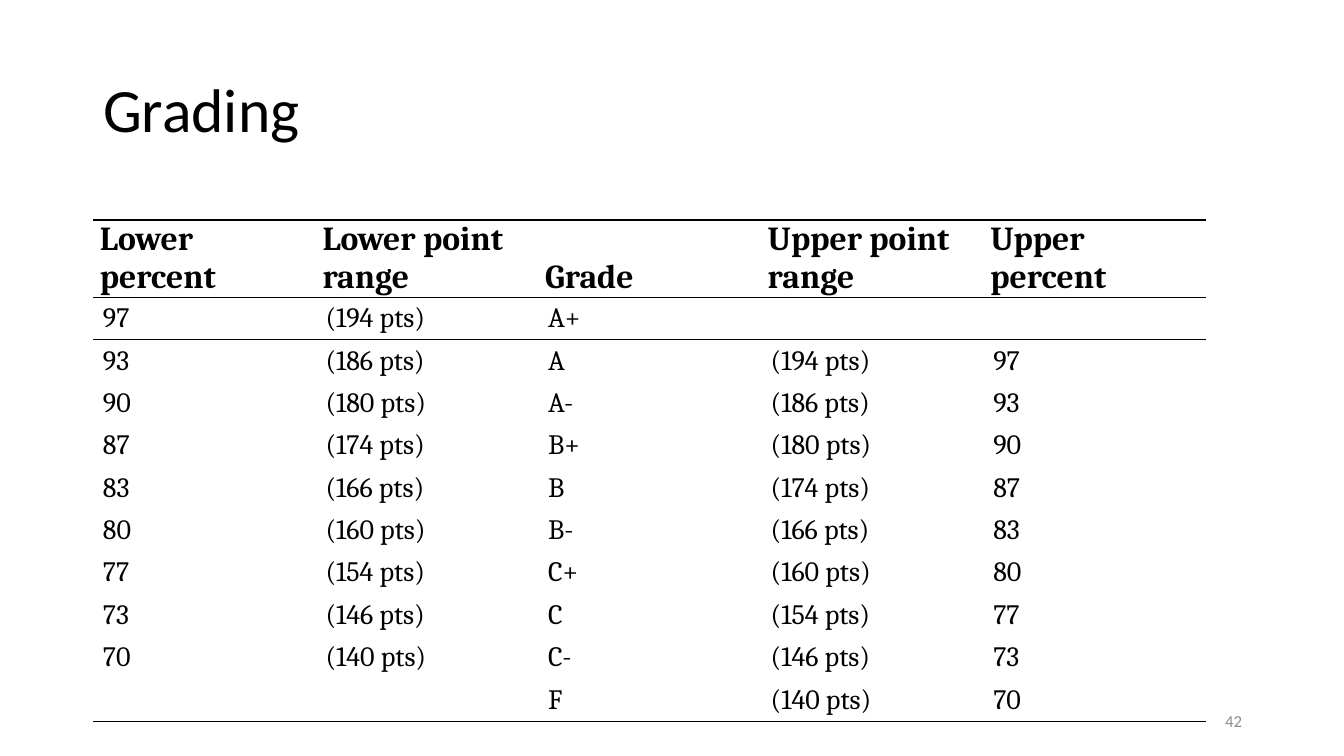
import pptx
import pptx.util
import pptx.dml.color
import pptx.enum.text
import lxml.etree
import pptx.oxml.ns

RGBColor = pptx.dml.color.RGBColor
Anchor = pptx.enum.text.MSO_ANCHOR
Align = pptx.enum.text.PP_ALIGN

BLACK = RGBColor(0x00, 0x00, 0x00)
GREY = RGBColor(0x8C, 0x8C, 0x8C)
NO_STYLE_NO_GRID = "{2D5ABB26-0587-4C30-8999-92F81FD0307C}"

HEADINGS = ["Lower percent", "Lower point range", "Grade",
            "Upper point range", "Upper percent"]
GRADES = ["A+", "A", "A-", "B+", "B", "B-", "C+", "C", "C-", "F"]
CUTOFFS = [97, 93, 90, 87, 83, 80, 77, 73, 70]
TOTAL_POINTS = 200


def px(n):
    """Turn slide pixels (100.8 to the inch) into EMU."""
    return pptx.util.Emu(round(n * 914400 / 100.8))


def bounds(cutoff):
    """Return the percent and point texts of a cutoff, blank for none."""
    if cutoff is None:
        return "", ""
    return str(cutoff), f"({cutoff * TOTAL_POINTS // 100} pts)"


def grading_rows():
    """Each grade runs from its own cutoff up to that of the grade above."""
    rows = [HEADINGS]
    for grade, low, high in zip(GRADES, CUTOFFS + [None], [None] + CUTOFFS):
        low_percent, low_points = bounds(low)
        high_percent, high_points = bounds(high)
        rows.append([low_percent, low_points, grade, high_points, high_percent])
    return rows


class Deck:
    sans = "Calibri"
    serif = "Cambria"

    def __init__(self, prs):
        self.s = prs.slides.add_slide(prs.slide_layouts[5])

    def format(self, p, font, size, color=BLACK, bold=False):
        for r in p.runs:
            r.font.name = font
            r.font.size = pptx.util.Pt(size)
            r.font.bold = bold
            r.font.color.rgb = color

    def title(self, text, x, y, w, h):
        sp = self.s.shapes.title
        sp.left, sp.top, sp.width, sp.height = map(px, (x, y, w, h))
        tf = sp.text_frame
        tf.text = text
        tf.vertical_anchor = Anchor.MIDDLE
        p = tf.paragraphs[0]
        p.alignment = Align.LEFT
        p.line_spacing = 0.9
        self.format(p, self.sans, 44)

    def page_number(self, text, x, y, w, h):
        tf = self.s.shapes.add_textbox(*map(px, (x, y, w, h))).text_frame
        tf.word_wrap = True
        tf.text = text
        tf.vertical_anchor = Anchor.MIDDLE
        p = tf.paragraphs[0]
        p.alignment = Align.RIGHT
        self.format(p, self.sans, 12, GREY)

    def rule(self, cell, side):
        """Draw a black 1 pt border on side T or B of a cell."""
        qn = pptx.oxml.ns.qn
        tc_pr = cell._tc.get_or_add_tcPr()
        ln = lxml.etree.SubElement(tc_pr, qn(f"a:ln{side}"), w="12700")
        fill = lxml.etree.SubElement(ln, qn("a:solidFill"))
        lxml.etree.SubElement(fill, qn("a:srgbClr"), val=str(BLACK))

    def cell(self, cell, text, header):
        cell.fill.background()
        cell.margin_left = cell.margin_right = px(7 if header else 10)
        cell.margin_top = cell.margin_bottom = px(0 if header else 4)
        cell.vertical_anchor = Anchor.BOTTOM if header else Anchor.MIDDLE
        cell.text = text
        self.format(cell.text_frame.paragraphs[0], self.serif,
                    24 if header else 20, bold=header)

    def table(self, rows, x, y, w, header_h, body_h):
        last = len(rows) - 1
        frame = self.s.shapes.add_table(
            len(rows), len(rows[0]), px(x), px(y), px(w), px(header_h + body_h))
        table = frame.table
        table.first_row = table.horz_banding = False
        table._tbl.tblPr.find(pptx.oxml.ns.qn("a:tableStyleId")).text = NO_STYLE_NO_GRID
        for column in table.columns:
            column.width = px(w / len(rows[0]))
        for i, texts in enumerate(rows):
            table.rows[i].height = px(header_h if i == 0 else body_h / last)
            for j, text in enumerate(texts):
                cell = table.cell(i, j)
                if i <= 1:
                    self.rule(cell, "T")
                if i in (0, last):
                    self.rule(cell, "B")
                self.cell(cell, text, header=i == 0)


def main():
    prs = pptx.Presentation()
    prs.slide_width, prs.slide_height = px(1344), px(756)
    deck = Deck(prs)
    deck.title("Grading", 93, 40, 1159, 146)
    deck.table(grading_rows(), x=93, y=220, w=1113, header_h=77, body_h=424)
    deck.page_number("42", 950, 701, 302, 40)
    prs.save("out.pptx")


if __name__ == "__main__":
    main()
